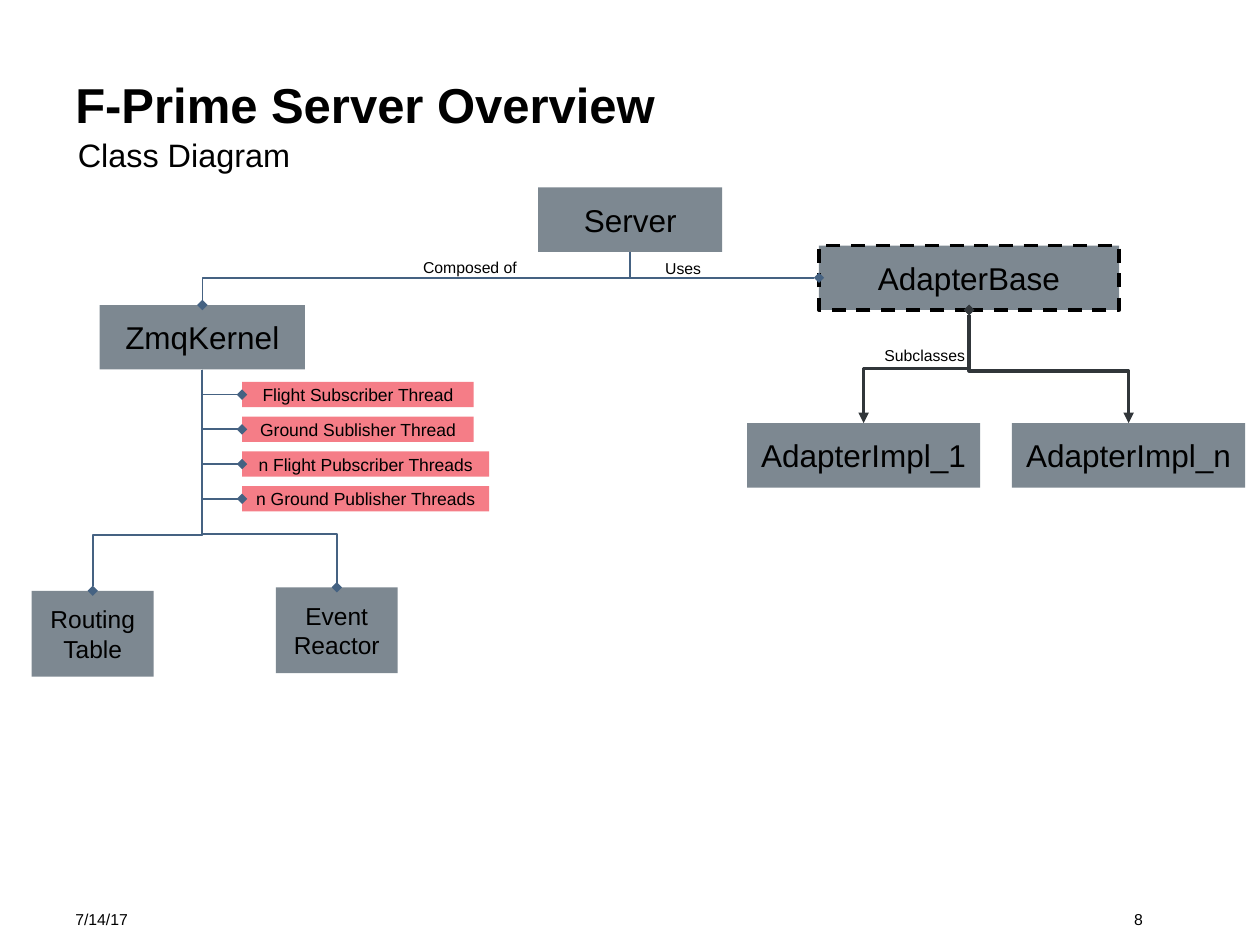
from lxml import etree
from pptx import Presentation
from pptx.dml.color import RGBColor
from pptx.enum import dml, shapes, text
from pptx.oxml import ns
from pptx.util import Cm, Pt

THEME = {
    "font": "Arial",
    "ink": "000000", "class": "7D8891", "thread": "F57D87",
    "owns": "456282", "inherits": "31363A",
    "title": 28, "subtitle": 18.5, "major": 18, "minor": 14, "task": 10, "note": 9,
    "thin": 1, "thick": 2,
}

CLASSES = {
    "Server": (10.85, 3.78, 3.71, 1.3, "major"),
    "ZmqKernel": (2.01, 6.15, 4.14, 1.3, "major"),
    "AdapterBase": (16.51, 4.95, 6.05, 1.3, "major"),
    "Routing Table": (0.64, 11.91, 2.46, 1.73, "minor"),
    "Event Reactor": (5.56, 11.84, 2.46, 1.73, "minor"),
    "AdapterImpl_1": (15.06, 8.53, 4.7, 1.3, "major"),
    "AdapterImpl_n": (20.4, 8.53, 4.7, 1.3, "major"),
}
ABSTRACT = "AdapterBase"

THREADS = [
    ("Flight Subscriber Thread", 4.67),
    ("Ground Sublisher Thread", 4.67),
    ("n Flight Pubscriber Threads", 4.98),
    ("n Ground Publisher Threads", 4.98),
]
THREAD_LEFT, THREAD_TOP, THREAD_PITCH, THREAD_HEIGHT = 4.88, 7.7, 0.7, 0.51

SIDE_LINKS = [("Server", "AdapterBase")] + [("ZmqKernel", name) for name, _ in THREADS]
TOP_LINKS = [
    ("Server", "ZmqKernel", 5.61, "owns"),
    ("ZmqKernel", "Routing Table", 10.78, "owns"),
    ("ZmqKernel", "Event Reactor", 10.77, "owns"),
    ("AdapterBase", "AdapterImpl_1", 7.43, "inherits"),
    ("AdapterBase", "AdapterImpl_n", 7.48, "inherits"),
]

HEADINGS = [
    ("F-Prime Server Overview", (1.27, 1.27, 22.86, 1.22), "title", 0.23),
    ("Class Diagram", (1.32, 2.54, 22.86, 0.91), "subtitle", 0.18),
]
NOTES = [
    ("Composed of", (8.28, 4.88, 3.84, 1.02), text.PP_ALIGN.LEFT),
    ("Uses", (13.16, 4.9, 3.84, 1.02), text.PP_ALIGN.LEFT),
    ("Subclasses", (17.58, 6.65, 3.84, 1.02), text.PP_ALIGN.LEFT),
    ("7/14/17", (1.27, 18.03, 3.84, 1.02), text.PP_ALIGN.LEFT),
    ("8", (20.32, 18.03, 2.97, 1.02), text.PP_ALIGN.RIGHT),
]


def colour(role):
    return RGBColor.from_string(THEME[role])


def write(shape, words, size, align, anchor):
    frame = shape.text_frame
    frame.word_wrap = True
    frame.vertical_anchor = anchor
    paragraph = frame.paragraphs[0]
    paragraph.alignment = align
    run = paragraph.add_run()
    run.text = words
    run.font.name = THEME["font"]
    run.font.size = Pt(THEME[size])
    run.font.bold = size == "title"
    run.font.color.rgb = colour("ink")
    return frame


def add_box(slide, name, place, size, fill):
    box = slide.shapes.add_shape(shapes.MSO_SHAPE.RECTANGLE, *map(Cm, place))
    box.shadow.inherit = False
    box.fill.solid()
    box.fill.fore_color.rgb = colour(fill)
    if name == ABSTRACT:
        box.line.color.rgb = colour("ink")
        box.line.width = Pt(THEME["thick"])
        box.line.dash_style = dml.MSO_LINE.DASH
    else:
        box.line.fill.background()
    frame = write(box, name, size, text.PP_ALIGN.CENTER, text.MSO_ANCHOR.MIDDLE)
    frame.margin_left = frame.margin_right = frame.margin_top = frame.margin_bottom = 0


def add_label(slide, words, place, size, align, anchor):
    label = slide.shapes.add_textbox(*map(Cm, place))
    return write(label, words, size, align, anchor)


def add_link(slide, start, end, role, bend=None):
    (x1, y1), (x2, y2) = start, end
    across, down = abs(x2 - x1), y2 - y1
    left = (x1 + x2 - down) / 2
    top = (y1 + y2 - across) / 2
    link = slide.shapes.add_connector(
        shapes.MSO_CONNECTOR.ELBOW, *map(Cm, (left, top, left + down, top + across)))
    inherits = role == "inherits"
    link.line.color.rgb = colour(role)
    link.line.width = Pt(THEME["thick" if inherits else "thin"])

    properties = link._element.spPr
    frame = properties.find(ns.qn("a:xfrm"))
    if x2 < x1:
        frame.set("rot", str(90 * 60000))
    else:
        frame.set("rot", str(270 * 60000))
        frame.set("flipH", "1")
    geometry = properties.find(ns.qn("a:prstGeom"))
    if bend is None:
        geometry.set("prst", "bentConnector2")
    else:
        share = round((bend - y1) / down * 100000)
        etree.SubElement(geometry.find(ns.qn("a:avLst")), ns.qn("a:gd"),
                         name="adj1", fmla=f"val {share}")
    outline = properties.find(ns.qn("a:ln"))
    if inherits:
        etree.SubElement(outline, ns.qn("a:headEnd"), type="diamond")
    etree.SubElement(outline, ns.qn("a:tailEnd"), type="triangle" if inherits else "diamond")
    etree.SubElement(properties, ns.qn("a:effectLst"))


def bottom(place):
    left, top, width, height = place
    return left + width / 2, top + height


def main():
    deck = Presentation()
    deck.slide_width, deck.slide_height = Cm(25.4), Cm(19.05)
    slide = deck.slides.add_slide(deck.slide_layouts[6])

    for words, place, size, inset in HEADINGS:
        frame = add_label(slide, words, place, size, text.PP_ALIGN.LEFT, text.MSO_ANCHOR.TOP)
        frame.margin_top = Cm(inset)

    places = {}
    for name, (*place, size) in CLASSES.items():
        places[name] = place
        add_box(slide, name, place, size, "class")
    for row, (name, width) in enumerate(THREADS):
        places[name] = (THREAD_LEFT, THREAD_TOP + row * THREAD_PITCH, width, THREAD_HEIGHT)
        add_box(slide, name, places[name], "task", "thread")

    for owner, part in SIDE_LINKS:
        left, top, _, height = places[part]
        add_link(slide, bottom(places[owner]), (left, top + height / 2), "owns")
    for owner, part, bend, role in TOP_LINKS:
        left, top, width, _ = places[part]
        add_link(slide, bottom(places[owner]), (left + width / 2, top), role, bend)

    for words, place, align in NOTES:
        add_label(slide, words, place, "note", align, text.MSO_ANCHOR.MIDDLE)

    deck.save("out.pptx")


if __name__ == "__main__":
    main()
